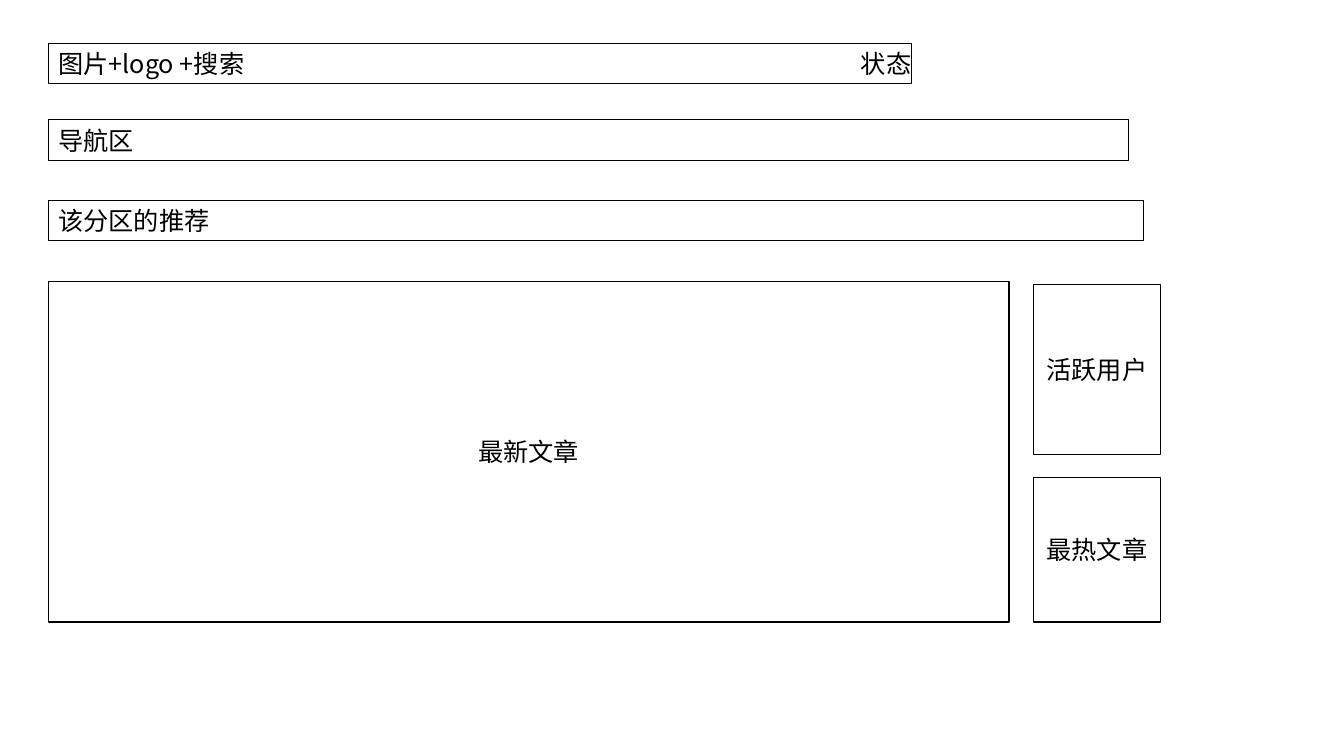
from lxml import etree
from pptx import Presentation
from pptx import util as u
from pptx.dml.color import RGBColor
from pptx.enum import shapes, text
from pptx.oxml.ns import qn

FONT = "Noto Sans CJK SC"
BLACK = RGBColor(0, 0, 0)
WHITE = RGBColor(255, 255, 255)
PX = 9144
LEFT, BAR_HEIGHT = 48, 40
SIDE_LEFT, SIDE_WIDTH = 1025, 126

BARS = [
    ("图片+logo +搜索", 43, 856),
    ("导航区", 119, 1071),
    ("该分区的推荐", 199, 1086),
]
STATUS = ("状态", 844, 43, 404)
PANELS = [
    ("最新文章", LEFT, 279, 953, 338),
    ("活跃用户", SIDE_LEFT, 282, SIDE_WIDTH, 169),
    ("最热文章", SIDE_LEFT, 474, SIDE_WIDTH, 143),
]


def write(sp, words, align, anchor):
    """Put one formatted line of text in a shape."""
    tf = sp.text_frame
    tf.word_wrap = True
    tf.vertical_anchor = anchor
    p = tf.paragraphs[0]
    p.text = words
    p.alignment = align
    p.font.name = FONT
    p.font.size = u.Pt(18)
    p.font.color.rgb = BLACK
    props = p._p.pPr.find(qn("a:defRPr"))
    latin = props.find(qn("a:latin"))
    ea = etree.Element(qn("a:ea"), typeface=FONT)
    latin.addnext(ea)


def add_box(slide, words, box, line_width, fill, align, anchor):
    """Draw an outlined rectangle with its label."""
    sp = slide.shapes.add_shape(shapes.MSO_SHAPE.RECTANGLE, *(v * PX for v in box))
    sp.shadow.inherit = False
    if fill is None:
        sp.fill.background()
    else:
        sp.fill.solid()
        sp.fill.fore_color.rgb = fill
    sp.line.color.rgb = BLACK
    sp.line.width = u.Pt(line_width)
    write(sp, words, align, anchor)


def main():
    """Build the page layout slide."""
    prs = Presentation()
    prs.slide_width, prs.slide_height = 1333 * PX, 750 * PX
    slide = prs.slides.add_slide(prs.slide_layouts[6])
    left, center = text.PP_ALIGN.LEFT, text.PP_ALIGN.CENTER
    top, middle = text.MSO_ANCHOR.TOP, text.MSO_ANCHOR.MIDDLE

    for words, y, width in BARS:
        add_box(slide, words, (LEFT, y, width, BAR_HEIGHT), 0.75, None, left, top)

    words, x, y, width = STATUS
    sp = slide.shapes.add_textbox(x * PX, y * PX, width * PX, BAR_HEIGHT * PX)
    write(sp, words, left, top)

    for words, *box in PANELS:
        add_box(slide, words, box, 1, WHITE, center, middle)

    prs.save("out.pptx")


if __name__ == "__main__":
    main()
